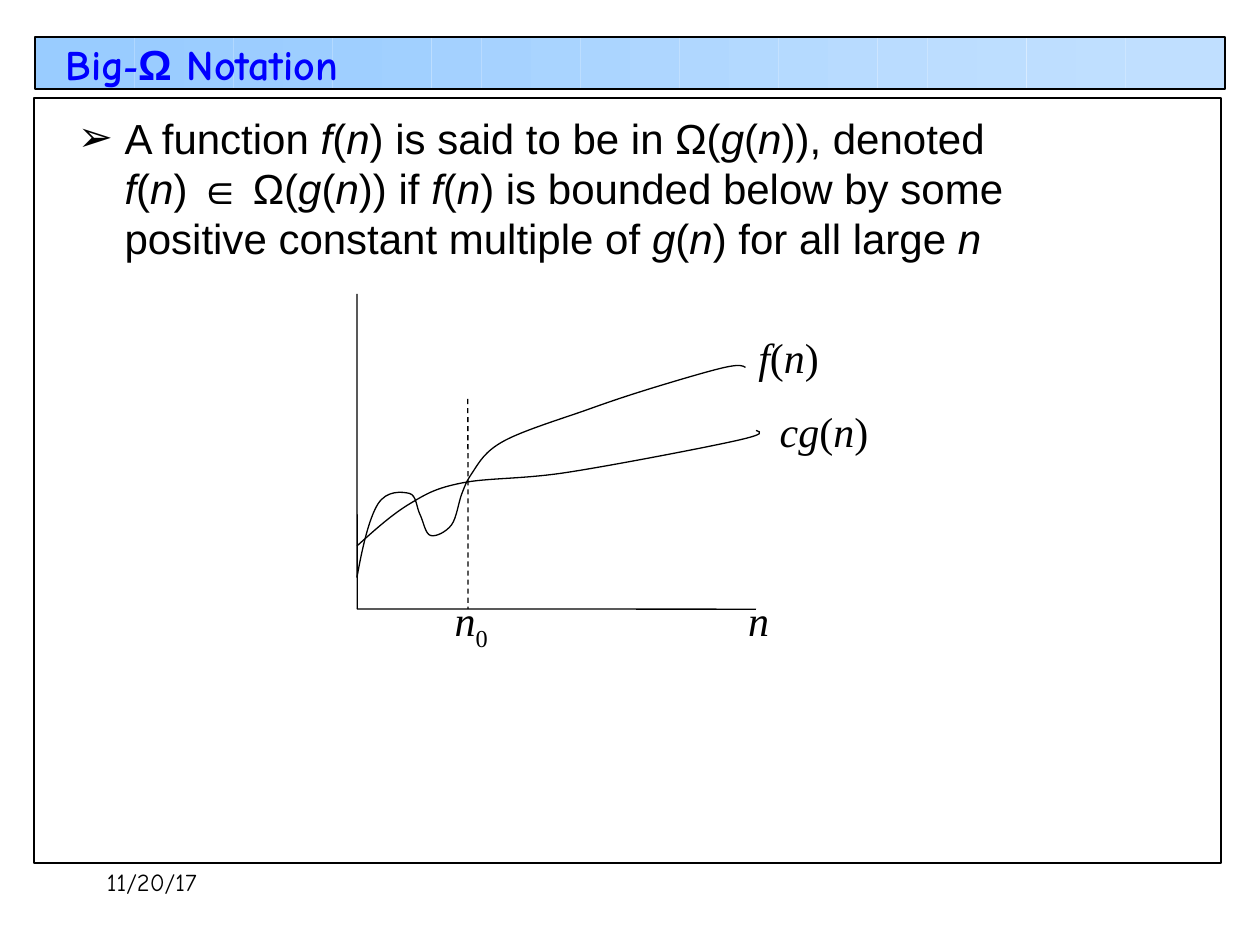
from math import cos, pi
from pptx import Presentation
from pptx.dml.color import RGBColor as RGB
from pptx.enum.dml import MSO_LINE_DASH_STYLE as DASH
from pptx.enum.shapes import MSO_CONNECTOR as CONN, MSO_SHAPE as SHAPE
from pptx.enum.text import MSO_ANCHOR as ANCHOR
from pptx.oxml.ns import qn
from pptx.util import Pt
from lxml.etree import Element, SubElement

THEME = {
    "ink": RGB(0, 0, 0),
    "band": ((153, 204, 255), (192, 223, 255)),
    "frame": Pt(1.25),
    "thin": Pt(0.75),
    "title": {"name": "Comic Neue", "size": Pt(24), "bold": True, "color": RGB(0, 0, 255)},
    "body": {"name": "Arial", "size": Pt(24), "color": RGB(0, 0, 0)},
    "label": {"name": "Times New Roman", "size": Pt(24), "color": RGB(0, 0, 0)},
    "date": {"name": "Comic Neue", "size": Pt(14), "color": RGB(0, 0, 0)},
}

prs = Presentation()
prs.slide_width, prs.slide_height = Pt(720), Pt(540)
s = prs.slides.add_slide(prs.slide_layouts[6])


def add_text(box, markup, style, wrap=True):
    tf = s.shapes.add_textbox(*map(Pt, box)).text_frame
    tf.word_wrap = wrap
    p = tf.paragraphs[0]
    for i, part in enumerate(markup.split("*")):
        if not part:
            continue
        r = p.add_run()
        r.text = part
        r.font.italic = i % 2 == 1
        for key, value in THEME[style].items():
            if key == "color":
                r.font.color.rgb = value
            else:
                setattr(r.font, key, value)
    return tf


def add_rect(box, fill=None):
    sp = s.shapes.add_shape(SHAPE.RECTANGLE, *map(Pt, box))
    sp.shadow.inherit = False
    if fill:
        sp.fill.solid()
        sp.fill.fore_color.rgb = fill
        sp.line.fill.background()
    else:
        sp.fill.background()
        sp.line.color.rgb = THEME["ink"]
        sp.line.width = THEME["frame"]


STEPS = 24
step_w = 679.68 / STEPS
for i in range(STEPS):
    ease = (1 - cos(pi * i / (STEPS - 1))) / 2
    color = RGB(*(round(a + (b - a) * ease) for a, b in zip(*THEME["band"])))
    add_rect((20.16 + i * step_w, 21.3, step_w, 29.8), color)
add_rect((20.16, 21.3, 679.68, 29.8))
add_rect((19.44, 56.16, 678.24, 437.04))

tf = add_text((30.24, 18.3, 435.6, 36), "Big*-*Ω** Notation", "title")
tf.vertical_anchor = ANCHOR.MIDDLE
for r, name in zip(tf.paragraphs[0].runs, ("Comic Neue", "Times New Roman", "Arial", "Comic Neue")):
    r.font.name = name

tf = add_text(
    (37.44, 60.48, 652.32, 422.64),
    "A function *f*(*n*) is said to be in Ω(*g*(*n*)), denoted "
    "*f*(*n*) ∈ Ω(*g*(*n*)) if *f*(*n*) is bounded below by some "
    "positive constant multiple of *g*(*n*) for all large *n*",
    "body",
)
tf.margin_right = Pt(100)
p = tf.paragraphs[0]
p.space_before = Pt(6)
pPr = p._p.get_or_add_pPr()
pPr.set("marL", str(Pt(26.64)))
pPr.set("indent", str(Pt(-26.64)))
buClr = SubElement(pPr, qn("a:buClr"))
SubElement(buClr, qn("a:srgbClr"), val=str(THEME["ink"]))
SubElement(pPr, qn("a:buFont"), typeface=THEME["body"]["name"])
SubElement(pPr, qn("a:buChar"), char="➢")

for x1, y1, x2, y2, dash in (
    (204, 168, 204.12, 348, None),
    (204, 348, 432, 348.12, None),
    (267.36, 228, 267.48, 348, DASH.DASH),
):
    cx = s.shapes.add_connector(CONN.STRAIGHT, Pt(x1), Pt(y1), Pt(x2), Pt(y2))
    cx.line.color.rgb = THEME["ink"]
    cx.line.width = THEME["thin"]
    cx.line.dash_style = dash
    SubElement(cx._element.spPr, qn("a:effectLst"))

for box, markup in (
    ((252.72, 336.24, 33.12, 40.32), "*n*0"),
    ((420.48, 336.24, 25.92, 36), "*n*"),
    ((426.24, 185.76, 48.96, 36), "*f*(*n*)"),
    ((438.48, 228.24, 64.8, 36), "*cg*(*n*)"),
):
    tf = add_text(box, markup, "label", wrap=False)
    if markup.endswith("0"):
        tf.paragraphs[0].runs[-1].font._element.set("baseline", "-25000")

CG_CURVE = (
    (204, 312), (214, 303), (224, 294), (234, 288), (244, 282), (249, 279), (264, 276),
    (279, 273), (298, 274), (324, 270), (350, 266), (402, 256), (420, 252),
    (438, 248), (435, 247), (432, 246),
)
F_CURVE = (
    (204, 330), (207, 313), (211, 296), (216, 288), (221, 280), (230, 281), (234, 282),
    (238, 283), (238, 290), (240, 294), (242, 298), (243, 305), (246, 306),
    (249, 307), (255, 304), (258, 300), (261, 296), (262, 287), (264, 282),
    (266, 277), (266, 276), (270, 270), (274, 264), (277, 258), (288, 252),
    (299, 246), (322, 239), (336, 234), (350, 229), (359, 226), (372, 222),
    (385, 218), (405, 212), (414, 210), (423, 208), (424.5, 209), (426, 210),
)
for start, *points in (CG_CURVE, F_CURVE):
    fb = s.shapes.build_freeform(*map(Pt, start))
    fb.add_line_segments([tuple(map(Pt, point)) for point in points], close=False)
    sp = fb.convert_to_shape()
    sp.shadow.inherit = False
    sp.fill.background()
    sp.line.color.rgb = THEME["ink"]
    sp.line.width = THEME["thin"]
    segments = list(sp._element.iter(qn("a:lnTo")))
    outline = segments[0].getparent()
    for i in range(0, len(segments), 3):
        bezier = SubElement(outline, qn("a:cubicBezTo"))
        for segment in segments[i:i + 3]:
            bezier.append(segment[0])
            outline.remove(segment)

add_text((54, 491.76, 149.76, 36), "11/20/17", "date")

prs.save("out.pptx")
